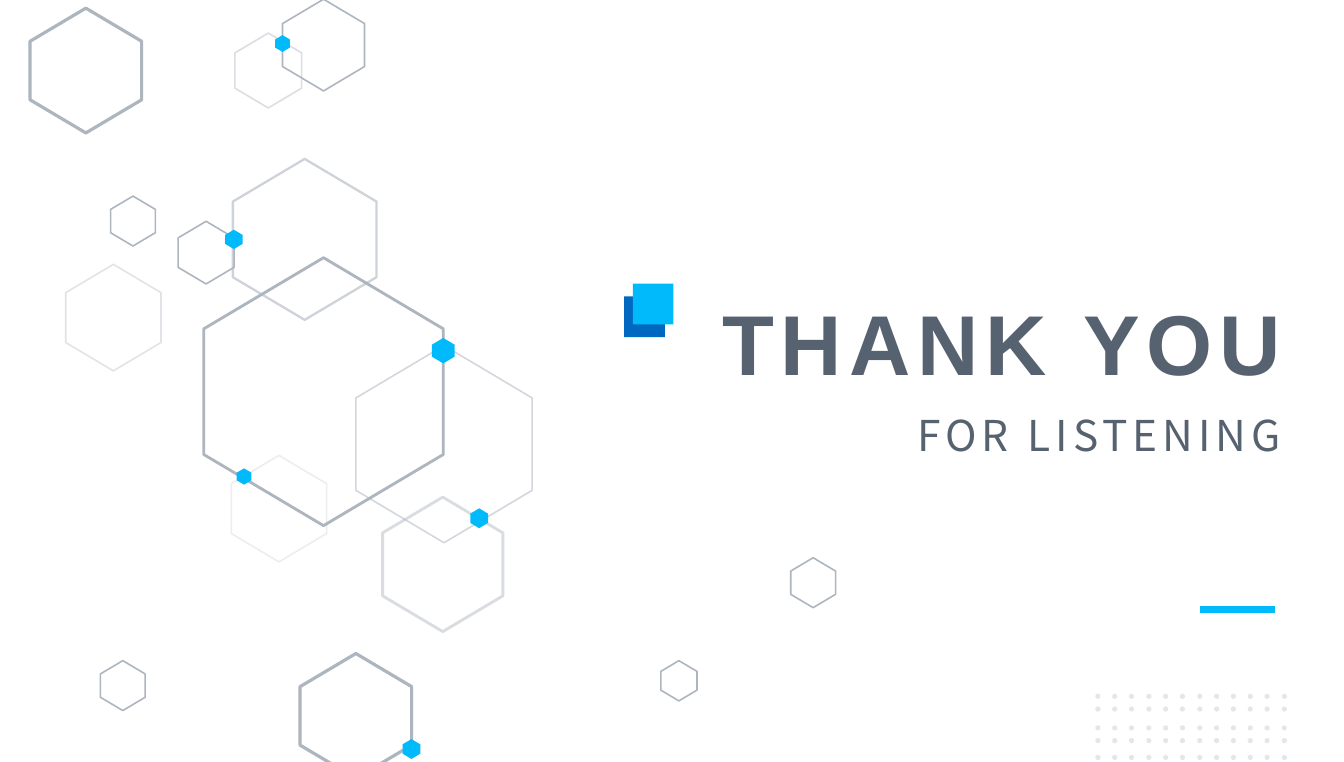
from dataclasses import dataclass

from lxml.etree import SubElement
from pptx import Presentation
from pptx.dml.color import RGBColor
from pptx.enum.shapes import MSO_CONNECTOR, MSO_SHAPE
from pptx.enum.text import MSO_ANCHOR, PP_ALIGN
from pptx.oxml.ns import qn
from pptx.util import Pt

EMU_PER_PX = 9144
HEXAGON_RATIO = 0.893


@dataclass(frozen=True)
class Theme:
    outline: str = "ADB5BF"
    accent: str = "00BAFB"
    accent_dark: str = "0069BF"
    dot: str = "E4E6EA"
    text: str = "576271"
    title_font: str = "Arial"
    subtitle_font: str = "Noto Sans CJK SC"
    title_size: int = 120
    subtitle_size: int = 60


THEME = Theme()

# left, top, length, line width, opacity
OUTLINED_HEXAGONS = [
    (372, 534, 526, 4, 100),
    (443, 905, 209, 2.25, 23),
    (678, 699, 387, 2.25, 52),
    (440, 329, 316, 3.25, 58),
    (737, 990, 264, 4, 46),
    (118, 530, 209, 2.25, 36),
    (46, 29, 245, 4.5, 100),
    (212, 390, 98, 2.25, 100),
    (545, 8, 180, 2.25, 100),
    (453, 73, 147, 2.25, 43),
    (343, 441, 123, 2.25, 100),
    (576, 1296, 245, 4.5, 100),
    (192, 1302, 98, 2.25, 100),
    (1547, 1100, 98, 2.25, 100),
    (1293, 1301, 79, 2.25, 100),
]

ACCENT_HEXAGONS = [
    (845, 666, 50),
    (440, 453, 38),
    (463, 921, 32),
    (538, 71, 33),
    (921, 1000, 39),
    (788, 1453, 39),
]

DOT_ROWS = [1362, 1387, 1424, 1449, 1482]
DOT_COLUMNS = [2150 + round(33.25 * column) for column in range(12)]


def px(*lengths):
    return [length * EMU_PER_PX for length in lengths]


def add_filled(shapes, preset, left, top, width, height, color):
    shape = shapes.add_shape(preset, *px(left, top, width, height))
    shape.shadow.inherit = False
    shape.fill.solid()
    shape.fill.fore_color.rgb = RGBColor.from_string(color)
    shape.line.fill.background()
    return shape


def add_hexagon(shapes, left, top, length, color=THEME.accent):
    hexagon = add_filled(shapes, MSO_SHAPE.HEXAGON, left, top, length,
                         round(length * HEXAGON_RATIO), color)
    hexagon.adjustments[0] = 0.297
    hexagon.rotation = 90
    return hexagon


def add_outlined_hexagon(shapes, left, top, length, weight, opacity):
    hexagon = add_hexagon(shapes, left, top, length)
    hexagon.fill.background()
    hexagon.line.width = Pt(weight)
    hexagon.line.color.rgb = RGBColor.from_string(THEME.outline)
    if opacity < 100:
        stroke = hexagon.line.color._xFill.find(qn("a:srgbClr"))
        SubElement(stroke, qn("a:alpha"), val=str(opacity * 1000))


def add_dot_grid(shapes):
    grid = shapes.add_group_shape().shapes
    for top in DOT_ROWS:
        for left in DOT_COLUMNS:
            add_filled(grid, MSO_SHAPE.OVAL, left, top, 10, 10, THEME.dot)


def add_text(shapes, text, left, top, width, height, *, font, size, spacing,
             anchor, bold=False):
    frame = shapes.add_textbox(*px(left, top, width, height)).text_frame
    frame.word_wrap = True
    frame.vertical_anchor = anchor
    paragraph = frame.paragraphs[0]
    paragraph.alignment = PP_ALIGN.RIGHT
    run = paragraph.add_run()
    run.text = text
    run.font.name = font
    run.font.size = Pt(size)
    run.font.bold = bold
    run.font.color.rgb = RGBColor.from_string(THEME.text)
    run._r.get_or_add_rPr().set("spc", str(spacing * 100))


def add_rule(shapes, left, right, y):
    rule = shapes.add_connector(MSO_CONNECTOR.STRAIGHT, *px(left, y, right, y))
    rule.line.width = Pt(10)
    rule.line.color.rgb = RGBColor.from_string(THEME.accent)
    SubElement(rule._element.spPr, qn("a:effectLst"))


def main():
    deck = Presentation()
    deck.slide_width, deck.slide_height = px(2638, 1496)
    shapes = deck.slides.add_slide(deck.slide_layouts[6]).shapes

    for hexagon in OUTLINED_HEXAGONS:
        add_outlined_hexagon(shapes, *hexagon)
    add_dot_grid(shapes)
    for hexagon in ACCENT_HEXAGONS:
        add_hexagon(shapes, *hexagon)

    add_filled(shapes, MSO_SHAPE.RECTANGLE, 1225, 582, 80, 80, THEME.accent_dark)
    add_filled(shapes, MSO_SHAPE.RECTANGLE, 1242, 557, 80, 80, THEME.accent)

    add_text(shapes, "FOR LISTENING", 1166, 801, 1358, 106,
             font=THEME.subtitle_font, size=THEME.subtitle_size, spacing=7,
             anchor=MSO_ANCHOR.MIDDLE)
    add_text(shapes, "THANK YOU", 1168, 563, 1358, 212,
             font=THEME.title_font, size=THEME.title_size, spacing=10,
             anchor=MSO_ANCHOR.BOTTOM, bold=True)
    add_rule(shapes, 2355, 2502, 1196)

    deck.save("out.pptx")


if __name__ == "__main__":
    main()
